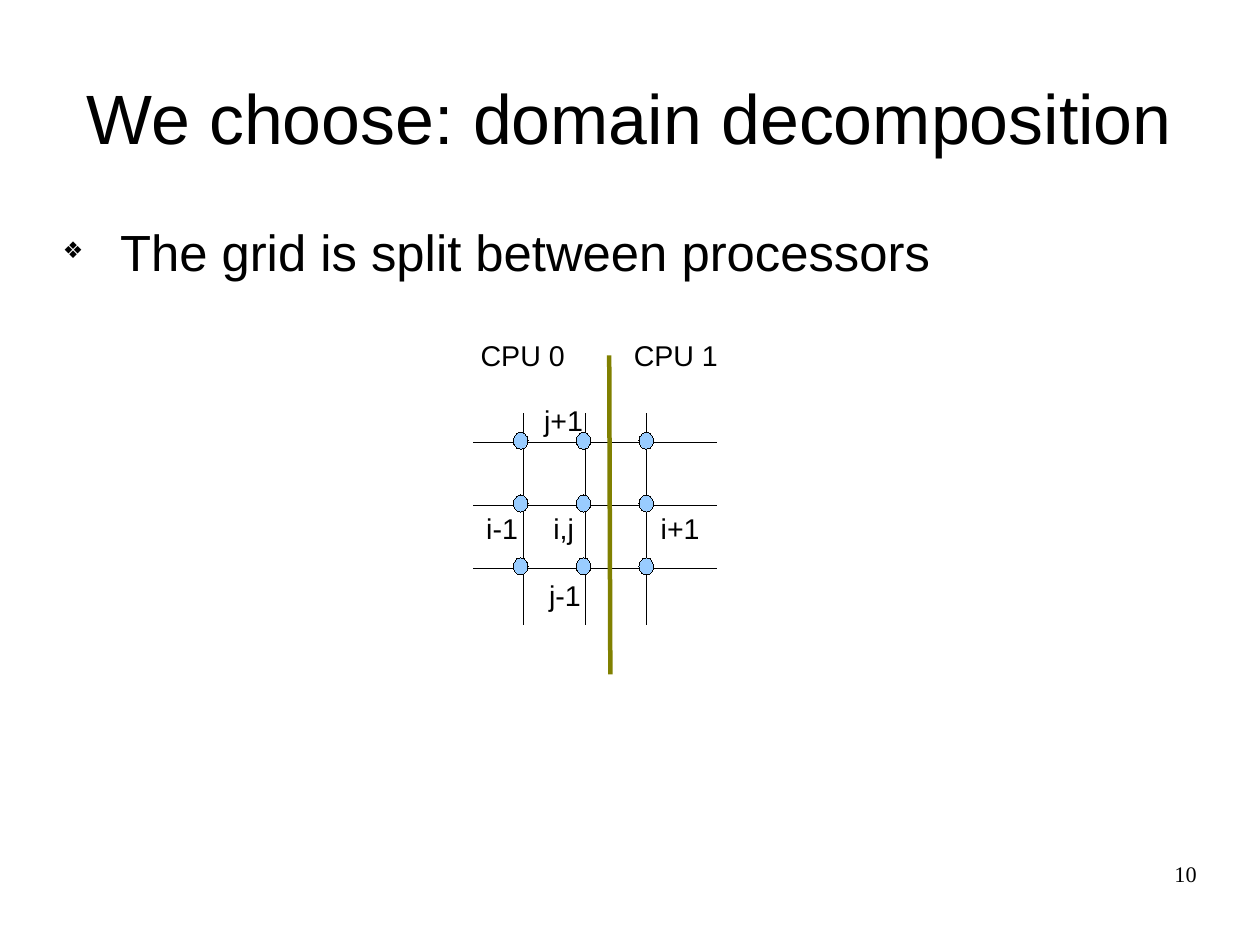
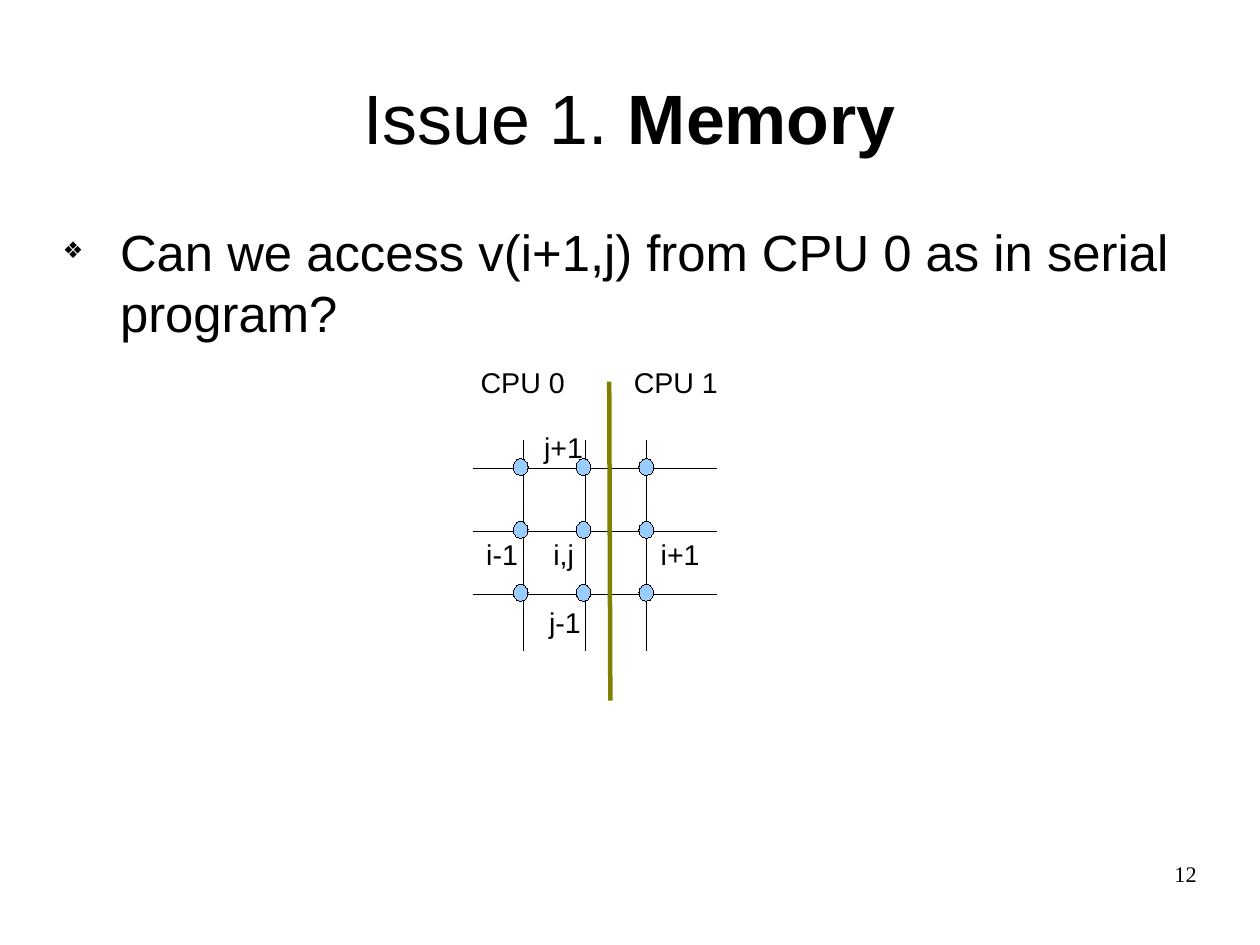
import dataclasses

import lxml.etree
import pptx
import pptx.dml.color
import pptx.enum.shapes
import pptx.enum.text
import pptx.oxml.ns
import pptx.util

Inches = pptx.util.Inches
Pt = pptx.util.Pt
Color = pptx.dml.color.RGBColor
Align = pptx.enum.text.PP_ALIGN
Anchor = pptx.enum.text.MSO_ANCHOR
AutoSize = pptx.enum.text.MSO_AUTO_SIZE


@dataclasses.dataclass(frozen=True)
class Theme:
    ink: Color = Color.from_string("000000")
    paper: Color = Color.from_string("FFFFFF")
    node: Color = Color.from_string("99CCFF")
    divider: Color = Color.from_string("808000")
    sans: str = "Arial"
    serif: str = "Times New Roman"
    title_size: int = 44
    body_size: int = 32
    label_size: int = 18
    number_size: int = 14
    hairline: float = 0.01
    divider_width: float = 2.83


theme = Theme()


def write_text(shape, box, runs, size, align, font_name=theme.sans, anchor=Anchor.TOP,
               margins=(0, 0), wrap=True):
    shape.left, shape.top, shape.width, shape.height = [Inches(length) for length in box]
    frame = shape.text_frame
    frame.margin_left = frame.margin_right = Inches(margins[0])
    frame.margin_top = frame.margin_bottom = Inches(margins[1])
    frame.word_wrap = wrap
    frame.auto_size = AutoSize.NONE if wrap else AutoSize.SHAPE_TO_FIT_TEXT
    frame.vertical_anchor = anchor
    paragraph = frame.paragraphs[0]
    paragraph.alignment = align
    paragraph.space_before = Pt(0)
    paragraph.font.name = font_name
    paragraph.font.size = Pt(size)
    paragraph.font.color.rgb = theme.ink
    for text, bold in runs:
        run = paragraph.add_run()
        run.text = text
        if bold:
            run.font.bold = True
    return paragraph


def draw_line(shapes, start, end, color, width):
    line = shapes.add_connector(
        pptx.enum.shapes.MSO_CONNECTOR.STRAIGHT,
        *[Inches(length) for length in (*start, *end)])
    line.line.color.rgb = color
    line.line.width = Pt(width)
    lxml.etree.SubElement(line._element.spPr, pptx.oxml.ns.qn("a:effectLst"))


slide_contents = [
    {"number": "10", "grid_top": 3.62,
     "title": [("We choose: domain decomposition", False)],
     "body": "The grid is split between processors", "body_height": 5.36},
    {"number": "12", "grid_top": 3.85,
     "title": [("Issue 1. ", False), ("Memory", True)],
     "body": "Can we access v(i+1,j) from CPU 0 as in serial program?", "body_height": 5},
]

grid_labels = [
    ("i-1", 4.15, 0.8, 0.48),
    ("j-1", 4.7, 1.39, 0.48),
    ("i+1", 5.68, 0.8, 0.54),
    ("j+1", 4.66, -0.14, 0.54),
    ("i,j", 4.74, 0.8, 0.38),
]
cpu_labels = [("CPU 0", 4.08, -0.71, 0.96), ("CPU 1", 5.42, -0.71, 0.96)]
grid_left, grid_right, grid_height = 4.14, 6.27, 1.84
column_step, row_step, node_step = 0.54, 0.55, 0.55

presentation = pptx.Presentation()
presentation.slide_width = pptx.util.Cm(28)
presentation.slide_height = pptx.util.Cm(21)
background = presentation.slide_master.background.fill
background.solid()
background.fore_color.rgb = theme.paper

for content in slide_contents:
    slide = presentation.slides.add_slide(presentation.slide_layouts[1])
    top = content["grid_top"]

    write_text(slide.shapes.title, (0.55, 0.38, 9.92, 1.28), content["title"],
               theme.title_size, Align.CENTER, anchor=Anchor.MIDDLE)

    paragraph = write_text(slide.placeholders[1], (0.55, 1.93, 9.92, content["body_height"]),
                           [(content["body"], False)], theme.body_size, Align.LEFT)
    paragraph.space_after = Pt(14.2)
    properties = paragraph._p.get_or_add_pPr()
    properties.set("marL", str(Inches(0.5)))
    properties.set("indent", str(Inches(-0.5)))
    default_run = properties.find(pptx.oxml.ns.qn("a:defRPr"))
    for tag, name, value in [("a:buSzPct", "val", "45000"), ("a:buFont", "typeface", theme.sans),
                             ("a:buChar", "char", "❖")]:
        bullet = lxml.etree.Element(pptx.oxml.ns.qn(tag))
        bullet.set(name, value)
        default_run.addprevious(bullet)

    number = slide.shapes.add_textbox(0, 0, 0, 0)
    write_text(number, (7.9, 7.53, 2.57, 0.57), [(content["number"], False)],
               theme.number_size, Align.RIGHT, font_name=theme.serif)

    grid = slide.shapes.add_group_shape()
    for column in range(3):
        x = 4.58 + column * column_step
        draw_line(grid.shapes, (x, top), (x, top + grid_height), theme.ink, theme.hairline)
    for row in range(3):
        y = top + 0.25 + row * row_step
        draw_line(grid.shapes, (grid_left, y), (grid_right, y), theme.ink, theme.hairline)
    for row in range(3):
        for column in range(3):
            node = grid.shapes.add_shape(
                pptx.enum.shapes.MSO_SHAPE.OVAL,
                Inches(4.49 + column * node_step), Inches(top + 0.16 + row * node_step),
                Inches(0.13), Inches(0.15))
            node.shadow.inherit = False
            node.fill.solid()
            node.fill.fore_color.rgb = theme.node
            node.line.color.rgb = theme.ink
            node.line.width = Pt(theme.hairline)

    draw_line(slide.shapes, (5.33, top - 0.51), (5.34, top + 2.28),
              theme.divider, theme.divider_width)

    for shapes, labels, height in [(grid.shapes, grid_labels, 0.41),
                                   (slide.shapes, cpu_labels, 0.39)]:
        for text, left, offset, width in labels:
            label = shapes.add_textbox(0, 0, Inches(width), Inches(height))
            write_text(label, (left, top + offset, width, height), [(text, False)],
                       theme.label_size, Align.RIGHT, margins=(0.1, 0.05), wrap=False)
    grid_shapes = list(grid.shapes)
    grid.left = min(shape.left for shape in grid_shapes)
    grid.top = min(shape.top for shape in grid_shapes)
    grid.width = max(shape.left + shape.width for shape in grid_shapes) - grid.left
    grid.height = max(shape.top + shape.height for shape in grid_shapes) - grid.top
    extents = grid._element.grpSpPr.find(pptx.oxml.ns.qn("a:xfrm"))
    for tag, names, values in [("a:chOff", "xy", (grid.left, grid.top)),
                               ("a:chExt", ("cx", "cy"), (grid.width, grid.height))]:
        for name, value in zip(names, values):
            extents.find(pptx.oxml.ns.qn(tag)).set(name, str(value))

presentation.save("out.pptx")
